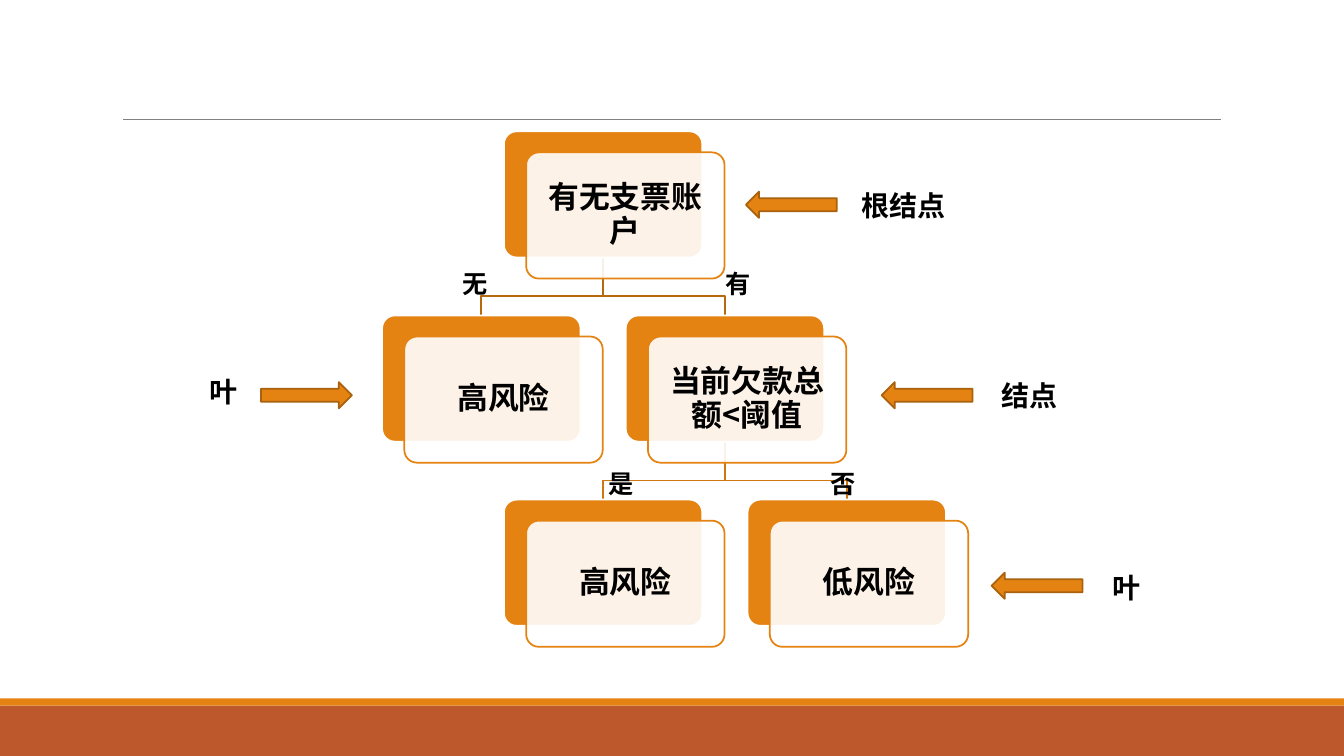
from dataclasses import dataclass

from lxml.etree import SubElement
from pptx import Presentation
from pptx.dml.color import RGBColor
from pptx.enum.shapes import MSO_CONNECTOR as Connector, MSO_SHAPE as Preset
from pptx.enum.text import MSO_ANCHOR as Anchor, PP_ALIGN as Align
from pptx.oxml.ns import qn
from pptx.util import Cm, Pt


@dataclass(frozen=True)
class Theme:
    font: str = "Noto Sans CJK SC"
    ink: str = "000000"
    paper: str = "FFFFFF"
    orange: str = "E48312"
    rust: str = "BD582C"
    rule: str = "808080"
    upper_branch: str = "B7690E"
    lower_branch: str = "CF7710"
    arrow_edge: str = "A9610D"
    node_size: int = 22
    note_size: int = 20
    branch_size: int = 18
    line: float = 1.25
    hairline: float = 0.5


THEME = Theme()
PAGE_WIDTH, PAGE_HEIGHT = 33.87, 19.05
CARD_WIDTH, CARD_HEIGHT = 5.0, 3.18
SHIFT_X, SHIFT_Y = 0.56, 0.53
STEP_X, STEP_Y = 3.07, 4.64

NODES = {
    "root": ("有无支票账户", 0, 0),
    "no_account": ("高风险", -1, 1),
    "debt": ("当前欠款总额<阈值", 1, 1),
    "below": ("高风险", 0, 2),
    "above": ("低风险", 2, 2),
}
BRANCHES = [
    ("debt", "above", THEME.lower_branch),
    ("debt", "below", THEME.lower_branch),
    ("root", "debt", THEME.upper_branch),
    ("root", "no_account", THEME.upper_branch),
]
BRANCH_LABELS = [
    ("无", 11.4, 6.63),
    ("有", 18.03, 6.63),
    ("否", 20.68, 11.68),
    ("是", 15.09, 11.68),
]
NOTES = [
    ("根结点", Preset.LEFT_ARROW, 18.8, 4.83, 21.46, 4.62),
    ("结点", Preset.LEFT_ARROW, 22.22, 9.63, 24.99, 9.42),
    ("叶", Preset.LEFT_ARROW, 24.99, 14.43, 27.79, 14.25),
    ("叶", Preset.RIGHT_ARROW, 6.58, 9.63, 5.03, 9.3),
]


def add_block(page, preset, left, top, width, height, fill, edge=None):
    block = page.shapes.add_shape(preset, Cm(left), Cm(top), Cm(width), Cm(height))
    block.shadow.inherit = False
    block.fill.solid()
    block.fill.fore_color.rgb = RGBColor.from_string(fill)
    if edge:
        block.line.color.rgb = RGBColor.from_string(edge)
        block.line.width = Pt(THEME.line)
    else:
        block.line.fill.background()
    return block


def write(frame, text, size, align=Align.LEFT):
    frame.word_wrap = True
    para = frame.paragraphs[0]
    para.text = text
    para.alignment = align
    para.font.size = Pt(size)
    para.font.bold = True
    para.font.color.rgb = RGBColor.from_string(THEME.ink)
    para.font.name = THEME.font
    SubElement(para.font._element, qn("a:ea"), typeface=THEME.font)
    return para


def add_label(page, text, left, top, width, height, size):
    box = page.shapes.add_textbox(Cm(left), Cm(top), Cm(width), Cm(height))
    write(box.text_frame, text, size)


def add_frame(page, width, height):
    add_block(page, Preset.RECTANGLE, 0, height - 1.27, width, 1.27, THEME.rust)
    add_block(page, Preset.RECTANGLE, 0, height - 1.45, width, 0.18, THEME.orange)
    rule = page.shapes.add_connector(
        Connector.STRAIGHT, Cm(3.1), Cm(3.02), Cm(30.78), Cm(3.02)
    )
    rule.line.color.rgb = RGBColor.from_string(THEME.rule)
    rule.line.width = Pt(THEME.hairline)
    SubElement(rule._element.spPr, qn("a:effectLst"))


def add_branch(page, start, end, colour):
    (start_x, start_y), (end_x, end_y) = start, end
    bend = end_y - 0.48
    points = [(start_x, bend), (end_x, bend), (end_x, end_y)]
    builder = page.shapes.build_freeform(Cm(start_x), Cm(start_y))
    builder.add_line_segments([(Cm(x), Cm(y)) for x, y in points], close=False)
    branch = builder.convert_to_shape()
    branch.shadow.inherit = False
    branch.fill.background()
    branch.line.color.rgb = RGBColor.from_string(colour)
    branch.line.width = Pt(THEME.line)


def add_node(page, text, left, top):
    size = CARD_WIDTH, CARD_HEIGHT
    back = add_block(
        page, Preset.ROUNDED_RECTANGLE, left, top, *size, THEME.orange, THEME.paper
    )
    front = add_block(
        page, Preset.ROUNDED_RECTANGLE, left + SHIFT_X, top + SHIFT_Y, *size,
        THEME.paper, THEME.orange,
    )
    for card in (back, front):
        card.adjustments[0] = 0.1
    colour = front.fill._xPr.find(qn("a:solidFill"))[0]
    SubElement(colour, qn("a:alpha"), val="90000")
    frame = front.text_frame
    frame.vertical_anchor = Anchor.MIDDLE
    frame.margin_left = frame.margin_right = Cm(0.25)
    frame.margin_top = frame.margin_bottom = Cm(0.25)
    write(frame, text, THEME.node_size, Align.CENTER).line_spacing = 0.9


def add_tree(page, left, top):
    corners = {
        name: (left + column * STEP_X, top + row * STEP_Y)
        for name, (_, column, row) in NODES.items()
    }
    for parent, child, colour in BRANCHES:
        parent_x, parent_y = corners[parent]
        child_x, child_y = corners[child]
        middle = CARD_WIDTH / 2
        start = parent_x + middle, parent_y + CARD_HEIGHT
        add_branch(page, start, (child_x + middle, child_y), colour)
    for name, (text, _, _) in NODES.items():
        add_node(page, text, *corners[name])
    for text, label_left, label_top in BRANCH_LABELS:
        add_label(page, text, label_left, label_top, 1.52, 1.02, THEME.branch_size)


def add_notes(page):
    for text, preset, arrow_left, arrow_top, left, top in NOTES:
        add_block(
            page, preset, arrow_left, arrow_top, 2.29, 0.66,
            THEME.orange, THEME.arrow_edge,
        )
        add_label(page, text, left, top, 4.57, 1.12, THEME.note_size)


def main():
    deck = Presentation()
    deck.slide_width, deck.slide_height = Cm(PAGE_WIDTH), Cm(PAGE_HEIGHT)
    page = deck.slides.add_slide(deck.slide_layouts[6])
    add_frame(page, PAGE_WIDTH, PAGE_HEIGHT)
    add_tree(page, 12.7, 3.31)
    add_notes(page)
    deck.save("out.pptx")


if __name__ == "__main__":
    main()
